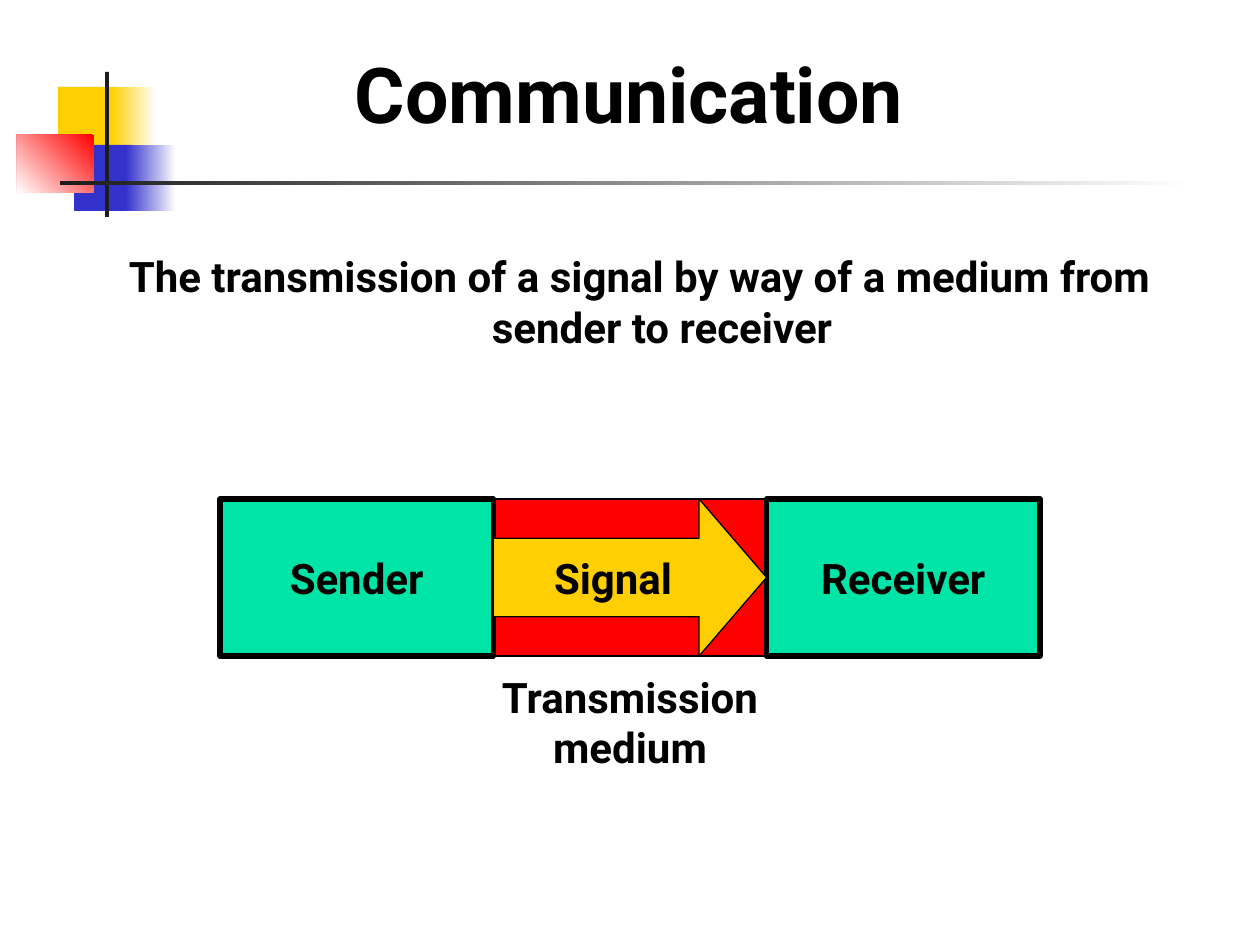
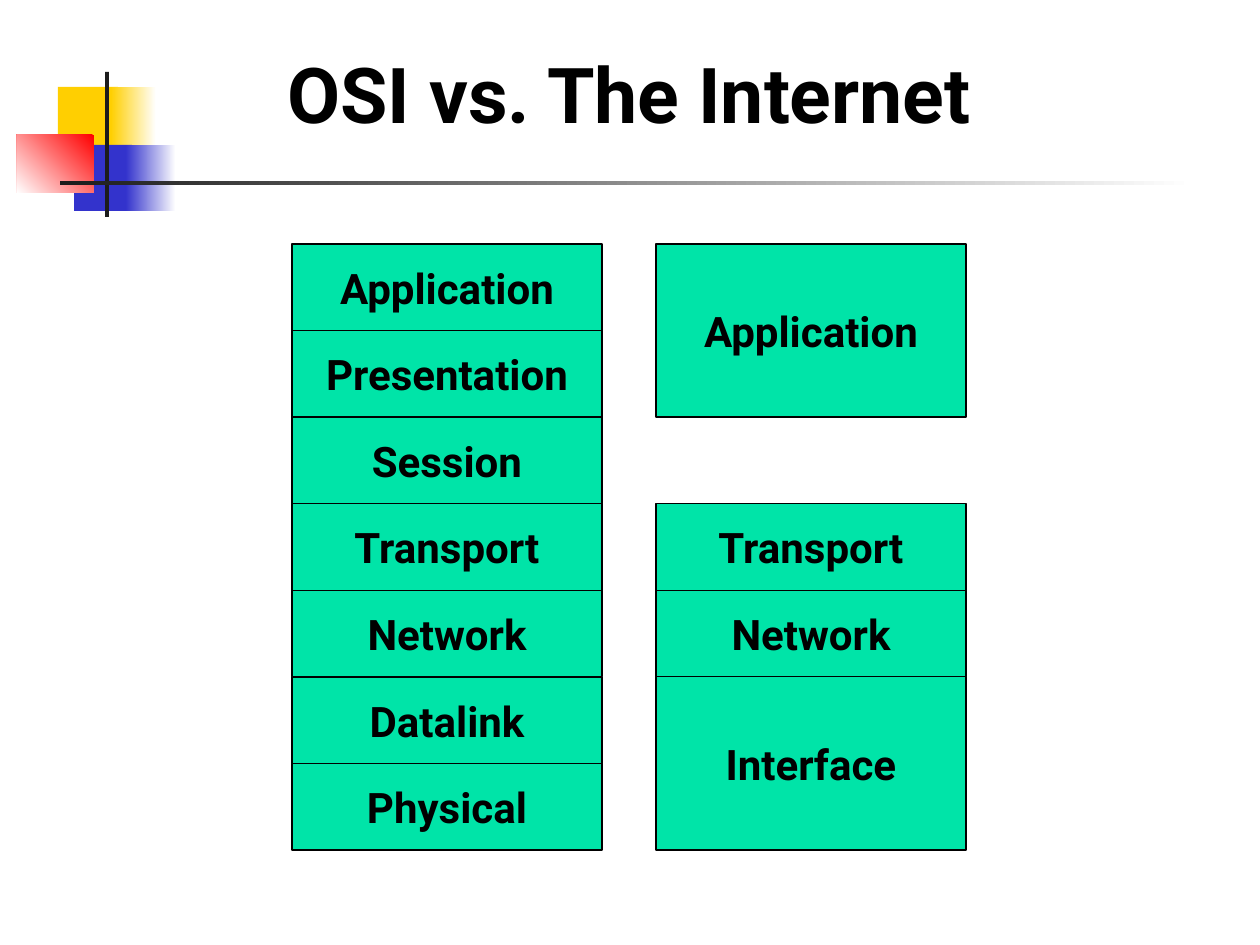
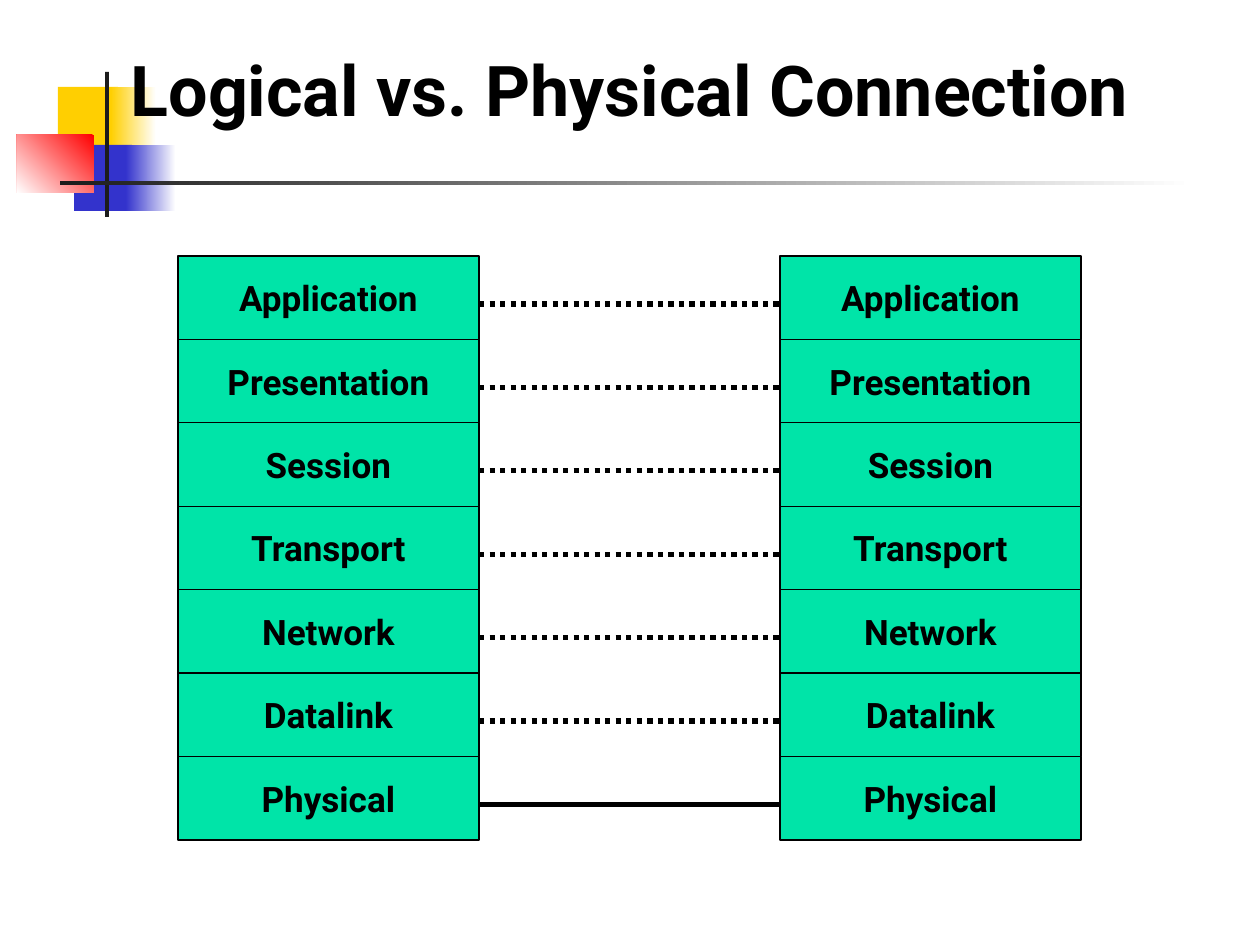
import pptx
import pptx.dml.color
import pptx.enum.dml
import pptx.enum.shapes
import pptx.enum.text
import pptx.oxml.ns
import pptx.util
from lxml import etree

FONT = "Roboto"
BLACK, WHITE, DARK = "000000", "FFFFFF", "1C1C1C"
GOLD, BLUE, RED, GREEN = "FFCF01", "3333CC", "FF0000", "00E4A8"
LAYERS = ["Application", "Presentation", "Session", "Transport",
          "Network", "Datalink", "Physical"]

SHAPE = pptx.enum.shapes.MSO_SHAPE
ANCHOR = pptx.enum.text.MSO_ANCHOR


def px(n):
    return pptx.util.Emu(round(n * 914400 / 126))


def color(code):
    return pptx.dml.color.RGBColor.from_string(code)


def write(shape, text, size, anchor, wrap=False, inset=True):
    """Fill a shape with bold, centred, black text."""
    frame = shape.text_frame
    frame.text = text
    frame.word_wrap = wrap
    frame.vertical_anchor = anchor
    if not inset:
        frame.margin_left = frame.margin_right = 0
        frame.margin_top = frame.margin_bottom = 0
    for para in frame.paragraphs:
        para.alignment = pptx.enum.text.PP_ALIGN.CENTER
        for run in para.runs:
            run.font.name = FONT
            run.font.size = pptx.util.Pt(size)
            run.font.bold = True
            run.font.color.rgb = color(BLACK)


def block(slide, x, y, w, h, fill, line=0, kind=SHAPE.RECTANGLE):
    shape = slide.shapes.add_shape(kind, px(x), px(y), px(w), px(h))
    shape.shadow.inherit = False
    shape.fill.solid()
    shape.fill.fore_color.rgb = color(fill)
    if line:
        shape.line.color.rgb = color(BLACK)
        shape.line.width = pptx.util.Pt(line)
    else:
        shape.line.fill.background()
    return shape


def fade(slide, x, y, w, h, tint, angle=0):
    """Block that fades from a tint to white."""
    shape = block(slide, x, y, w, h, tint)
    shape.fill.gradient()
    shape.fill.gradient_angle = angle
    for stop, code in zip(shape.fill.gradient_stops, (tint, WHITE)):
        stop.color.rgb = color(code)


def label(slide, x, y, w, h, text, size, anchor=ANCHOR.TOP, **opts):
    box = slide.shapes.add_textbox(px(x), px(y), px(w), px(h))
    write(box, text, size, anchor, **opts)
    return box


def link(slide, x, y, end, dotted):
    line = slide.shapes.add_connector(
        pptx.enum.shapes.MSO_CONNECTOR.STRAIGHT, px(x), px(y), px(end), px(y))
    line.line.color.rgb = color(BLACK)
    line.line.width = pptx.util.Pt(3)
    if dotted:
        line.line.dash_style = pptx.enum.dml.MSO_LINE.ROUND_DOT
    props = line._element.spPr
    etree.SubElement(props, pptx.oxml.ns.qn("a:effectLst"))


def emblem(slide, x, y):
    """Coloured squares and crossing bars in the top left corner."""
    block(slide, x + 41, y + 15, 60, 66, GOLD)
    fade(slide, x + 94, y + 15, 45, 66, GOLD)
    block(slide, x + 57, y + 73, 58, 66, BLUE)
    fade(slide, x + 109, y + 73, 50, 66, BLUE)
    fade(slide, x, y + 63, 77, 58, RED, 225)
    block(slide, x + 88, y, 4, 145, DARK)
    fade(slide, x + 43, y + 109, 1134, 4, DARK)


def start(deck, title, size=44, bottom=139):
    """New slide with the shared emblem and title."""
    slide = deck.slides.add_slide(deck.slide_layouts[6])
    emblem(slide, 17, 72)
    label(slide, 53, bottom - 92, 1153, 92, title, size, ANCHOR.BOTTOM,
          wrap=True, inset=False)
    return slide


def stack(slide, x, y, w, row, parts, size):
    """Column of layers; each part is a name, first row and row count."""
    for name, first, count in parts:
        cell = block(slide, x, y + first * row, w, count * row, GREEN, 0.75)
        write(cell, name, size, ANCHOR.MIDDLE)


def channel(slide, x, y, w, h):
    """Sender, medium with its signal, and receiver in equal thirds."""
    third = w / 3
    block(slide, x + third, y, third, h, RED, 0.75)
    for name, col in (("Sender", 0), ("Receiver", 2)):
        end = block(slide, x + col * third, y, third, h, GREEN, 3)
        write(end, name, 24, ANCHOR.MIDDLE)
    arrow = block(slide, x + third, y, third, h, GOLD, 0.75, SHAPE.RIGHT_ARROW)
    arrow.adjustments[0] = 0.5
    arrow.adjustments[1] = 0.43
    write(arrow, "Signal", 24, ANCHOR.MIDDLE)
    label(slide, x + third - 16, y + h + 9, third + 32, 113,
          "Transmission\nmedium", 24)


def signal(deck):
    slide = start(deck, "Communication")
    body = label(
        slide, 71, 251, 1120, 101,
        "The transmission of a signal by way of a medium from sender to receiver",
        24, wrap=True, inset=False)
    # Hanging indent
    props = body.text_frame.paragraphs[0]._p.get_or_add_pPr()
    props.set("marL", str(px(62)))
    props.set("indent", str(px(-45)))
    channel(slide, 220, 499, 820, 157)


def models(deck):
    slide = start(deck, "OSI vs. The Internet")
    row = 606 / len(LAYERS)
    osi = [(name, i, 1) for i, name in enumerate(LAYERS)]
    net = [("Application", 0, 2), ("Transport", 3, 1),
           ("Network", 4, 1), ("Interface", 5, 2)]
    for x, parts in ((292, osi), (656, net)):
        stack(slide, x, 244, 310, row, parts, 24)


def peers(deck):
    slide = start(deck, "Logical vs. Physical Connection", 40, 130)
    left, top, third = 178, 256, 301
    row = 584 / len(LAYERS)
    parts = [(name, i, 1) for i, name in enumerate(LAYERS)]
    for col in (0, 2):
        stack(slide, left + col * third, top, third, row, parts, 20)
    # Only the lowest layer is physically joined
    for name, i, _ in parts:
        link(slide, left + third, top + i * row + 48, left + 2 * third,
             name != "Physical")


def main():
    deck = pptx.Presentation()
    deck.slide_width, deck.slide_height = px(1260), px(945)
    signal(deck)
    models(deck)
    peers(deck)
    deck.save("out.pptx")


if __name__ == "__main__":
    main()
